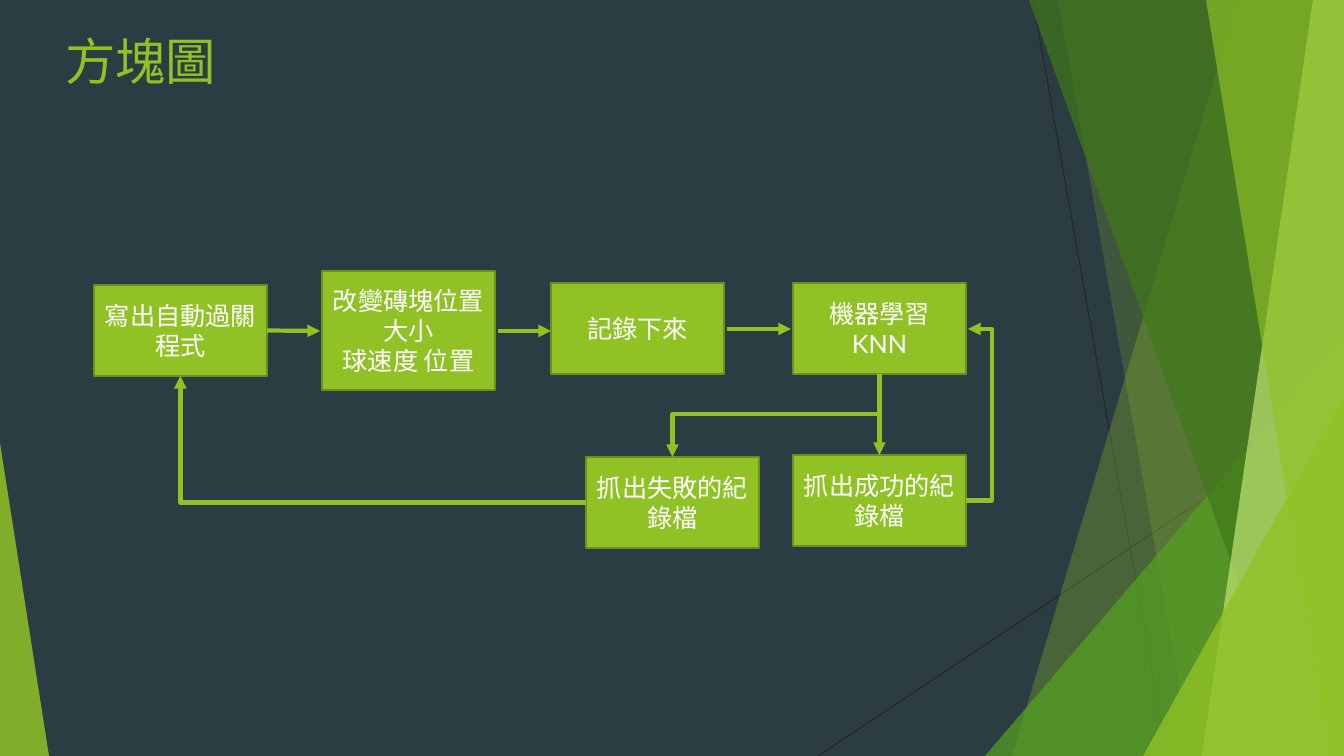
from lxml.etree import SubElement
from pptx import Presentation
from pptx.dml.color import RGBColor
from pptx.enum.shapes import MSO_CONNECTOR, MSO_SHAPE
from pptx.enum.text import MSO_ANCHOR, PP_ALIGN
from pptx.oxml.ns import qn
from pptx.util import Pt

# Content, lengths in px
W, H = 1344, 756
TITLE = ("方塊圖", (55, 25, 948, 145))

BOX_W, BOX_H = 173, 91
BOXES = {  # name: (left, top, height, lines)
    "auto": (94, 285, BOX_H, ["寫出自動過關程式"]),
    "change": (322, 271, 119, ["改變磚塊位置", "大小", "球速度 位置"]),
    "record": (551, 283, BOX_H, ["記錄下來"]),
    "learn": (793, 283, BOX_H, ["機器學習", "KNN"]),
    "success": (793, 455, BOX_H, ["抓出成功的紀錄檔"]),
    "failure": (586, 457, BOX_H, ["抓出失敗的紀錄檔"]),
}

# An end is a point or (box name, side); turn is the x of a U-shaped bend
TOP, LEFT, BOTTOM, RIGHT = range(4)
ARROWS = [  # (geometry, start, end, turn)
    ("line", ("auto", RIGHT), (320, 331), None),
    ("line", (498, 331), (551, 331), None),
    ("line", (727, 329), (791, 329), None),
    ("line", ("learn", BOTTOM), ("success", TOP), None),
    ("bentConnector3", ("success", RIGHT), (968, 329), 992),
    ("bentConnector2", (880, 414), ("failure", TOP), None),
    ("bentConnector2", ("failure", LEFT), ("auto", BOTTOM), None),
]

THIN_LINES = [((1033, 0), (1167, H)), ((W, 406), (818, H))]
FACETS = [  # (kind, geometry, colour, opacity %), back to front
    ("band", (1238, 1012), "lime", 30),
    ("band", (1058, 1192), "lime", 20),
    ("triangle", (985, 336, 359, 420, 1), "green", 72),
    ("band", (1029, 1301), "forest", 70),
    ("band", (1313, 1202), "pale", 70),
    ("band", (1206, 1329), "lime", 65),
    ("triangle", (1143, 396, 201, 360, 1), "lime", 80),
    ("triangle", (0, 443, 49, 313, 0), "lime", 85),
]

THEME = {
    "back": RGBColor.from_string("2C3C43"),
    "lime": RGBColor.from_string("90C226"),
    "green": RGBColor.from_string("54A021"),
    "forest": RGBColor.from_string("3F7819"),
    "pale": RGBColor.from_string("C0E474"),
    "edge": RGBColor.from_string("6B901C"),
    "thin": RGBColor.from_string("262626"),
    "text": RGBColor.from_string("FFFFFF"),
    "font": "Lato",
    "title_size": Pt(36),
    "box_size": Pt(18),
}
SCALE = 914400 / 100.8


def px(*values):
    return [round(v * SCALE) for v in values]


def write(tf, lines, align, anchor, size, color):
    for name, value in {"word_wrap": True, "vertical_anchor": anchor}.items():
        setattr(tf, name, value)
    font = {"name": THEME["font"], "size": size}
    for i, line in enumerate(lines):
        p = tf.paragraphs[0] if i == 0 else tf.add_paragraph()
        p.alignment = align
        r = p.add_run()
        r.text = line
        for name, value in font.items():
            setattr(r.font, name, value)
        r.font.color.rgb = color


def fill(sp, color):
    sp.shadow.inherit = False
    sp.fill.solid()
    sp.fill.fore_color.rgb = color


def connect(shapes, start, end, color, width, kind=MSO_CONNECTOR.STRAIGHT):
    c = shapes.add_connector(kind, *px(*start, *end))
    c.line.color.rgb = color
    c.line.width = Pt(width)
    SubElement(c._element.spPr, qn("a:effectLst"))
    return c


def add_facet(shapes, kind, geometry, color, opacity):
    if kind == "band":
        top_x, bottom_x = geometry
        fb = shapes.build_freeform(top_x, 0, scale=SCALE)
        fb.add_line_segments([(W, 0), (W, H), (bottom_x, H)], close=True)
        sp = fb.convert_to_shape()
    else:
        *frame, apex = geometry
        sp = shapes.add_shape(MSO_SHAPE.ISOSCELES_TRIANGLE, *px(*frame))
        sp.adjustments[0] = apex
    fill(sp, THEME[color])
    sp.line.fill.background()
    clr = sp._element.spPr.find(qn("a:solidFill")).find(qn("a:srgbClr"))
    SubElement(clr, qn("a:alpha"), val=str(opacity * 1000))


def add_box(shapes, left, top, height, lines):
    sp = shapes.add_shape(MSO_SHAPE.RECTANGLE, *px(left, top, BOX_W, height))
    fill(sp, THEME["lime"])
    sp.line.color.rgb = THEME["edge"]
    sp.line.width = Pt(1.5)
    write(sp.text_frame, lines, PP_ALIGN.CENTER, MSO_ANCHOR.MIDDLE,
          THEME["box_size"], THEME["text"])
    return sp


def locate(end):
    if end[0] not in BOXES:
        return end
    left, top, height, _ = BOXES[end[0]]
    fx, fy = [(0.5, 0), (0, 0.5), (0.5, 1), (1, 0.5)][end[1]]
    return left + fx * BOX_W, top + fy * height


def add_arrow(shapes, boxes, geometry, start, end, turn):
    kind = MSO_CONNECTOR.STRAIGHT if geometry == "line" else MSO_CONNECTOR.ELBOW
    a, b = locate(start), locate(end)
    c = connect(shapes, a, b, THEME["lime"], 3, kind)
    for join, target in ((c.begin_connect, start), (c.end_connect, end)):
        if target[0] in boxes:
            join(boxes[target[0]], target[1])
    SubElement(c.line._get_or_add_ln(), qn("a:tailEnd"), type="triangle")
    geom = c._element.spPr.find(qn("a:prstGeom"))
    geom.set("prst", geometry)
    if turn:
        bend = round((turn - a[0]) / (b[0] - a[0]) * 100000)
        SubElement(geom.find(qn("a:avLst")), qn("a:gd"),
                   name="adj1", fmla=f"val {bend}")


def main():
    prs = Presentation()
    prs.slide_width, prs.slide_height = px(W, H)
    s = prs.slides.add_slide(prs.slide_layouts[5])
    s.background.fill.solid()
    s.background.fill.fore_color.rgb = THEME["back"]

    # Faceted backdrop
    for start, end in THIN_LINES:
        connect(s.shapes, start, end, THEME["thin"], 0.75)
    for facet in FACETS:
        add_facet(s.shapes, *facet)

    # Title
    text, frame = TITLE
    title = s.shapes.title
    for name, value in zip(("left", "top", "width", "height"), px(*frame)):
        setattr(title, name, value)
    write(title.text_frame, [text], PP_ALIGN.LEFT, MSO_ANCHOR.TOP,
          THEME["title_size"], THEME["lime"])

    # Block diagram
    boxes = {name: add_box(s.shapes, *box) for name, box in BOXES.items()}
    for arrow in ARROWS:
        add_arrow(s.shapes, boxes, *arrow)

    prs.save("out.pptx")


if __name__ == "__main__":
    main()
